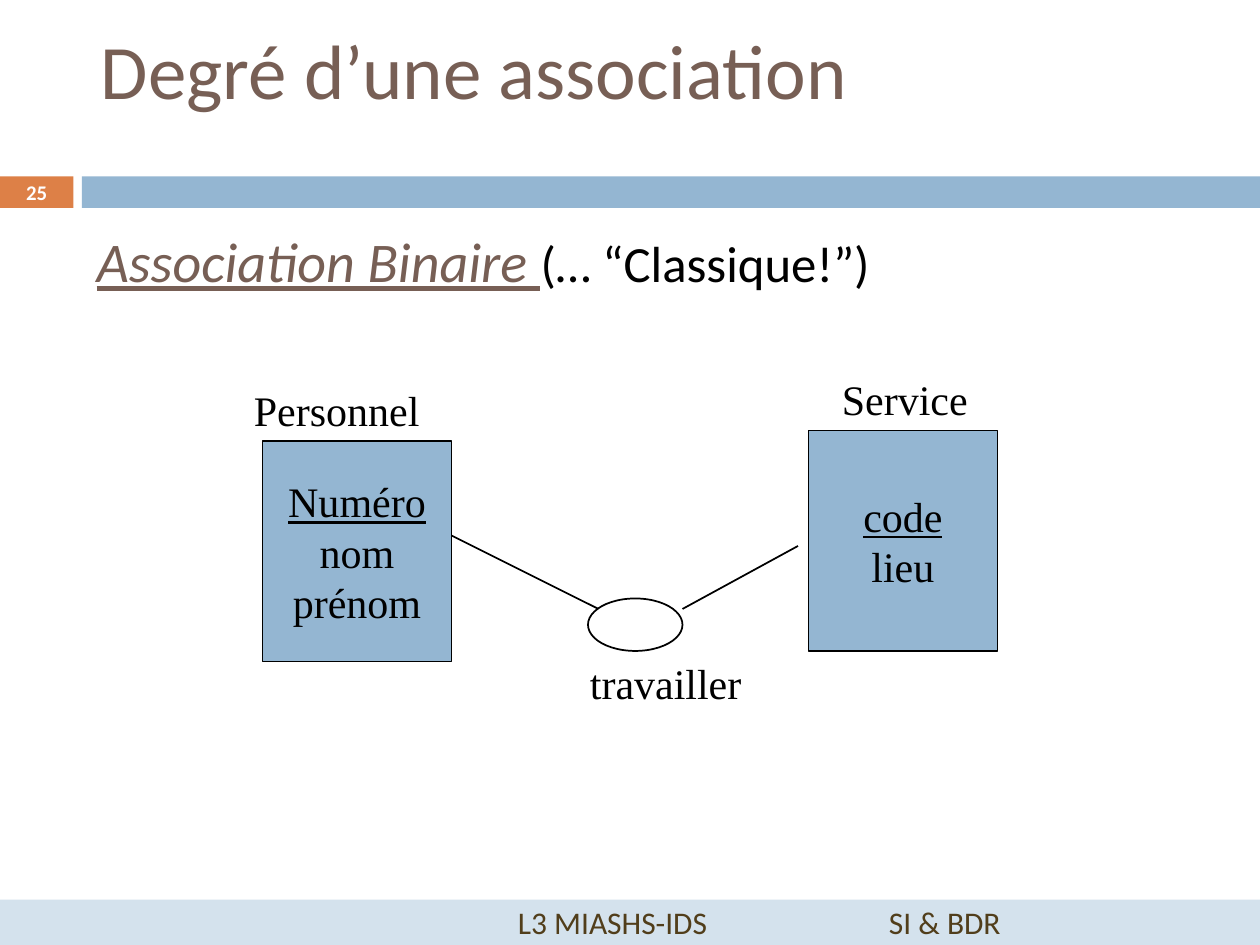
import pptx
import pptx.util
import pptx.dml.color
import pptx.enum.shapes
import pptx.enum.text
import pptx.oxml.ns
import lxml.etree

Pt = pptx.util.Pt
Shapes = pptx.enum.shapes.MSO_SHAPE
Align = pptx.enum.text.PP_ALIGN
Anchor = pptx.enum.text.MSO_ANCHOR
qn = pptx.oxml.ns.qn


def color(value):
    return pptx.dml.color.RGBColor.from_string(value)


def format_run(run, font_name, size, value):
    run.font.name = font_name
    run.font.size = Pt(size)
    run.font.color.rgb = color(value)


presentation = pptx.Presentation()
presentation.slide_width = Pt(720)
presentation.slide_height = Pt(540)
slide = presentation.slides.add_slide(presentation.slide_layouts[1])
shapes = slide.shapes

title = shapes.title
title.left, title.top, title.width, title.height = Pt(50.4), Pt(0), Pt(642), Pt(78)
title.text_frame.text = "Degré d’une association"
title.text_frame.vertical_anchor = Anchor.MIDDLE
title.text_frame.paragraphs[0].alignment = Align.LEFT
format_run(title.text_frame.paragraphs[0].runs[0], "Calibri", 44, "775F55")

body = slide.placeholders[1]
body.left, body.top, body.width, body.height = Pt(48), Pt(126), Pt(642), Pt(354)
paragraph = body.text_frame.paragraphs[0]
properties = paragraph._p.get_or_add_pPr()
properties.set("marL", "0")
properties.set("indent", "0")
lxml.etree.SubElement(properties, qn("a:buNone"))
paragraph.space_before = Pt(0)
for text, size, value, emphasis in [
    ("Association Binaire ", 32, "775F55", True),
    ("(… “Classique!”)", 29, "000000", False),
]:
    run = paragraph.add_run()
    run.text = text
    format_run(run, "Calibri", size, value)
    run.font.italic = emphasis
    run.font.underline = emphasis

bands = []
for left, top, width, height, fill in [
    (0, 100.8, 42, 18, "DD8047"),
    (46.8, 100.8, 673.2, 18, "94B6D2"),
    (0, 514, 720, 26, "D4E2ED"),
]:
    band = shapes.add_shape(Shapes.RECTANGLE, Pt(left), Pt(top), Pt(width), Pt(height))
    band.shadow.inherit = False
    band.fill.solid()
    band.fill.fore_color.rgb = color(fill)
    band.line.fill.background()
    bands.append(band)

number_band, title_band, footer_band = bands
number_frame = number_band.text_frame
number_frame.margin_top = number_frame.margin_bottom = 0
number_frame.text = "25"
number_frame.vertical_anchor = Anchor.MIDDLE
number_frame.paragraphs[0].alignment = Align.CENTER
number_run = number_frame.paragraphs[0].runs[0]
format_run(number_run, "Calibri", 11.9, "FFFFFF")
number_run.font.bold = True

footer_frame = footer_band.text_frame
footer_frame.margin_left = Pt(296)
footer_frame.margin_top = footer_frame.margin_bottom = 0
footer_frame.vertical_anchor = Anchor.MIDDLE
footer_frame.text = "L3 MIASHS-IDS\tSI & BDR"
paragraph = footer_frame.paragraphs[0]
paragraph.alignment = Align.LEFT
tabs = lxml.etree.SubElement(paragraph._p.get_or_add_pPr(), qn("a:tabLst"))
lxml.etree.SubElement(tabs, qn("a:tab"), pos=str(Pt(212)), algn="l")
format_run(paragraph.runs[0], "Calibri", 18, "513E1B")

for left, top, attributes in [
    (150, 252, ["Numéro", "nom", "prénom"]),
    (462, 246, ["code", "lieu"]),
]:
    entity = shapes.add_shape(Shapes.RECTANGLE, Pt(left), Pt(top), Pt(108), Pt(126))
    entity.shadow.inherit = False
    entity.fill.solid()
    entity.fill.fore_color.rgb = color("94B6D2")
    entity.line.color.rgb = color("000000")
    entity.line.width = Pt(1)
    entity.text_frame.word_wrap = False
    entity.text_frame.vertical_anchor = Anchor.MIDDLE
    entity.text_frame.text = "\n".join(attributes)
    for index, paragraph in enumerate(entity.text_frame.paragraphs):
        paragraph.alignment = Align.CENTER
        format_run(paragraph.runs[0], "Times New Roman", 24, "000000")
        paragraph.runs[0].font.underline = index == 0

for text, left, top, width in [
    ("Personnel", 138, 216, 109.4),
    ("Service", 474, 210, 86.4),
    ("travailler", 330, 372, 101.5),
]:
    label = shapes.add_textbox(Pt(left), Pt(top), Pt(width), Pt(36))
    label.text_frame.word_wrap = False
    label.text_frame.text = text
    format_run(label.text_frame.paragraphs[0].runs[0], "Times New Roman", 24, "000000")

association = shapes.add_shape(Shapes.OVAL, Pt(336), Pt(342), Pt(54), Pt(30))
association.shadow.inherit = False
association.fill.background()
association.line.color.rgb = color("000000")
association.line.width = Pt(1)

for ends in [(258, 306, 342, 348), (390, 348, 456, 312)]:
    link = shapes.add_connector(
        pptx.enum.shapes.MSO_CONNECTOR.STRAIGHT, *[Pt(value) for value in ends]
    )
    link.line.color.rgb = color("000000")
    link.line.width = Pt(1)
    lxml.etree.SubElement(link._element.spPr, qn("a:effectLst"))

presentation.save("out.pptx")
